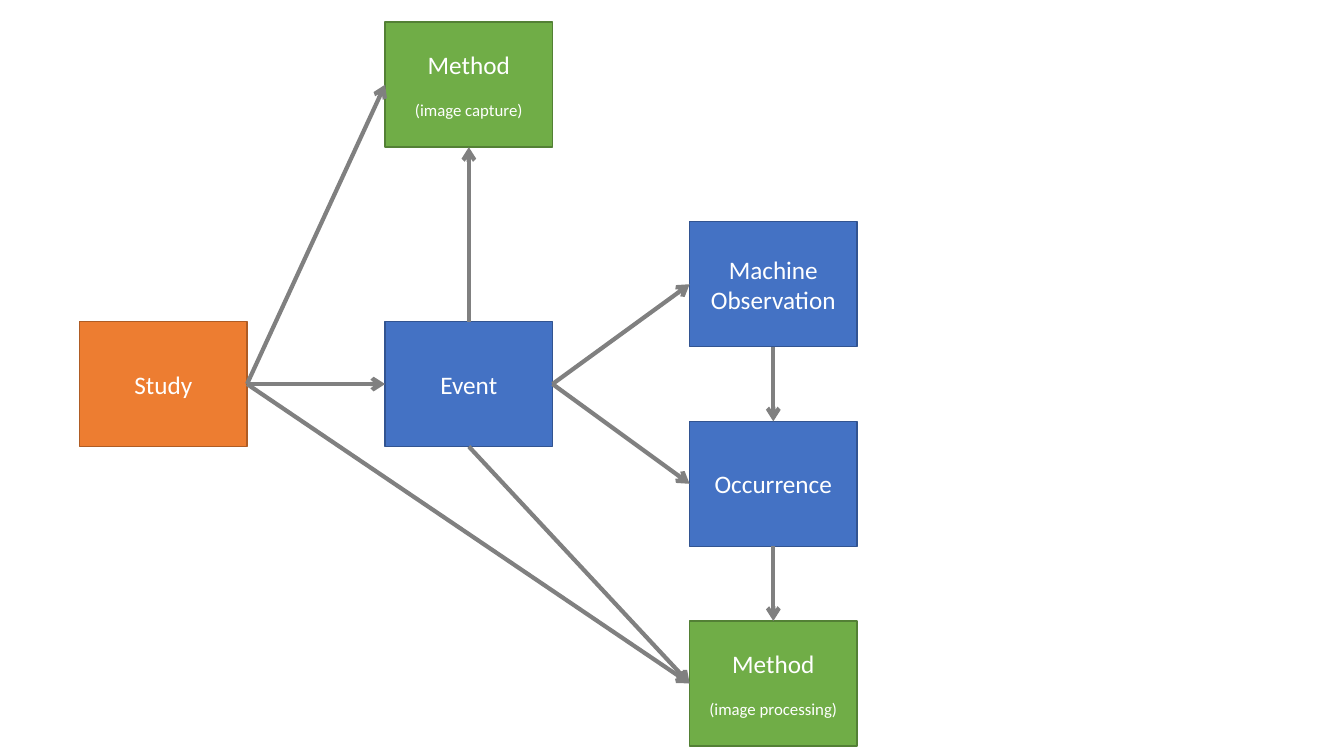
"""Build a slide showing how study, events, methods and observations relate."""
from dataclasses import dataclass
from enum import IntEnum

from lxml.etree import SubElement
from pptx import Presentation
from pptx.dml.color import RGBColor
from pptx.enum.shapes import MSO_CONNECTOR, MSO_SHAPE
from pptx.enum.text import MSO_ANCHOR, PP_ALIGN
from pptx.oxml.ns import qn
from pptx.shapes.autoshape import Shape
from pptx.slide import Slide
from pptx.util import Inches, Pt

FONT = "Calibri"
WHITE = "FFFFFF"
ARROW_GREY = "808080"
COLUMN_LEFTS = (0.79, 3.82, 6.84)
FIRST_ROW_TOP = 0.22
ROW_STEP = 0.99
ENTITY_WIDTH = 1.66
ENTITY_HEIGHT = 1.24


class Side(IntEnum):
    TOP = 0
    LEFT = 1
    BOTTOM = 2
    RIGHT = 3


@dataclass(frozen=True)
class Palette:
    fill: str
    outline: str


@dataclass(frozen=True)
class Entity:
    key: str
    label: str
    column: int
    row: int
    palette: Palette
    detail: str = ""


@dataclass(frozen=True)
class Relation:
    source: str
    source_side: Side
    target: str
    target_side: Side


STUDY = Palette("ED7D31", "AF5C24")
DATA = Palette("4472C4", "325491")
METHOD = Palette("70AD47", "538035")

ENTITIES = (
    Entity("study", "Study", 0, 3, STUDY),
    Entity("event", "Event", 1, 3, DATA),
    Entity("capture", "Method", 1, 0, METHOD, "(image capture)"),
    Entity("machine", "Machine Observation", 2, 2, DATA),
    Entity("occurrence", "Occurrence", 2, 4, DATA),
    Entity("processing", "Method", 2, 6, METHOD, "(image processing)"),
)

RELATIONS = (
    Relation("study", Side.RIGHT, "event", Side.LEFT),
    Relation("study", Side.RIGHT, "capture", Side.LEFT),
    Relation("event", Side.TOP, "capture", Side.BOTTOM),
    Relation("event", Side.RIGHT, "machine", Side.LEFT),
    Relation("event", Side.RIGHT, "occurrence", Side.LEFT),
    Relation("occurrence", Side.BOTTOM, "processing", Side.TOP),
    Relation("machine", Side.BOTTOM, "occurrence", Side.TOP),
    Relation("study", Side.RIGHT, "processing", Side.LEFT),
    Relation("event", Side.BOTTOM, "processing", Side.LEFT),
)


def colour(value: str) -> RGBColor:
    return RGBColor.from_string(value)


def write_line(paragraph, text: str, size: int) -> None:
    paragraph.text = text
    paragraph.alignment = PP_ALIGN.CENTER
    paragraph.font.name = FONT
    paragraph.font.size = Pt(size)
    paragraph.font.color.rgb = colour(WHITE)


def draw_entity(slide: Slide, entity: Entity) -> Shape:
    box = slide.shapes.add_shape(
        MSO_SHAPE.RECTANGLE,
        Inches(COLUMN_LEFTS[entity.column]),
        Inches(FIRST_ROW_TOP + entity.row * ROW_STEP),
        Inches(ENTITY_WIDTH),
        Inches(ENTITY_HEIGHT),
    )
    box.shadow.inherit = False
    box.fill.solid()
    box.fill.fore_color.rgb = colour(entity.palette.fill)
    box.line.color.rgb = colour(entity.palette.outline)
    box.line.width = Pt(1)
    frame = box.text_frame
    frame.word_wrap = True
    frame.vertical_anchor = MSO_ANCHOR.MIDDLE
    write_line(frame.paragraphs[0], entity.label, 18)
    if entity.detail:
        detail = frame.add_paragraph()
        write_line(detail, entity.detail, 12)
        detail.space_before = Pt(14.6)
    return box


def draw_relation(slide: Slide, relation: Relation, boxes: dict[str, Shape]) -> None:
    arrow = slide.shapes.add_connector(MSO_CONNECTOR.STRAIGHT, 0, 0, 0, 0)
    arrow.begin_connect(boxes[relation.source], relation.source_side)
    arrow.end_connect(boxes[relation.target], relation.target_side)
    arrow.line.color.rgb = colour(ARROW_GREY)
    arrow.line.width = Pt(3)
    properties = arrow.element.spPr
    SubElement(properties.find(qn("a:ln")), qn("a:tailEnd"), type="arrow")
    SubElement(properties, qn("a:effectLst"))


def main() -> None:
    presentation = Presentation()
    presentation.slide_width = Inches(13.33)
    presentation.slide_height = Inches(7.5)
    slide = presentation.slides.add_slide(presentation.slide_layouts[6])
    boxes = {entity.key: draw_entity(slide, entity) for entity in ENTITIES}
    for relation in RELATIONS:
        draw_relation(slide, relation, boxes)
    presentation.save("out.pptx")


if __name__ == "__main__":
    main()
